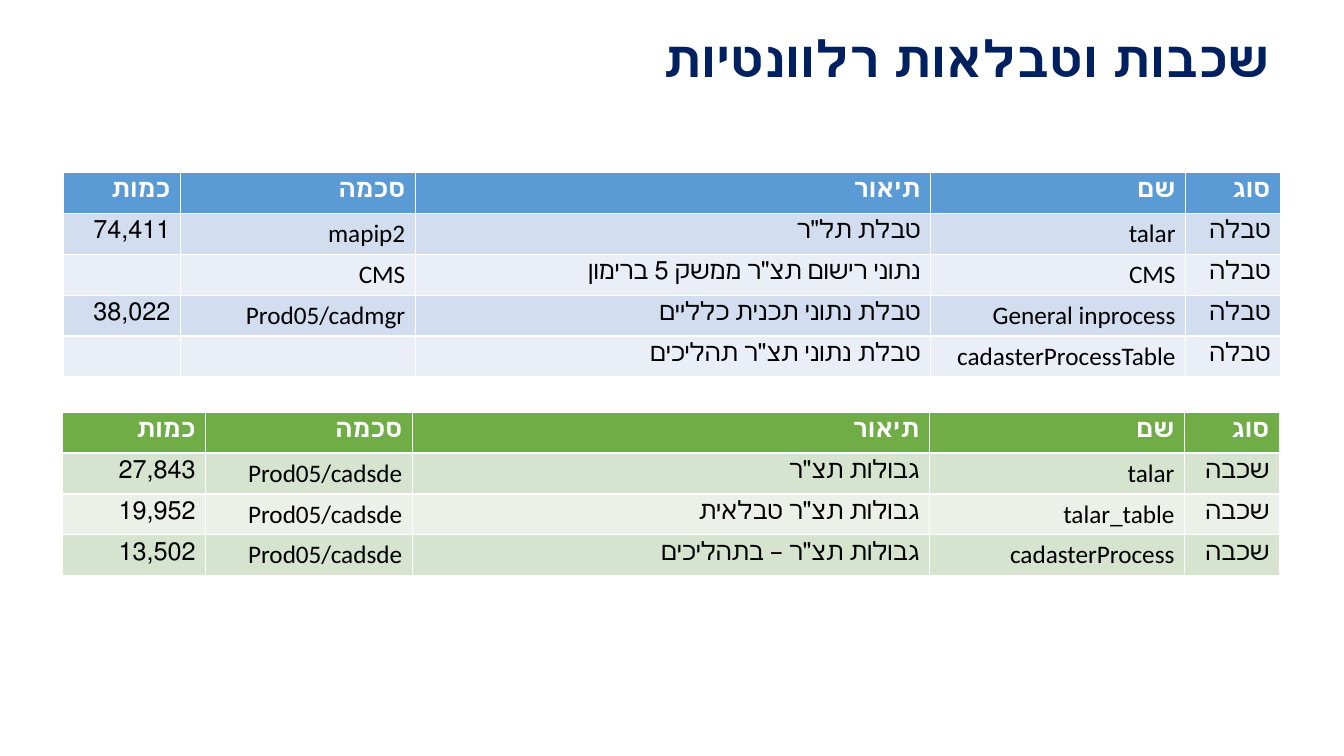
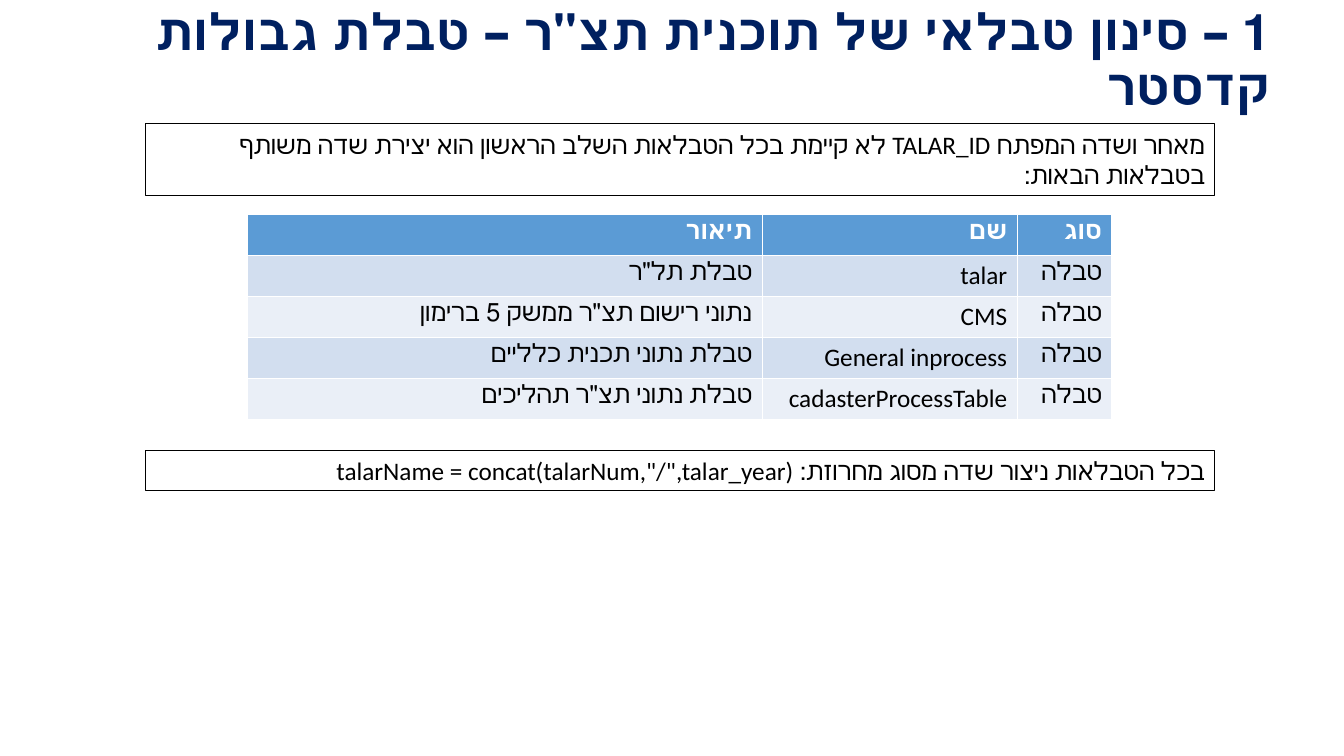
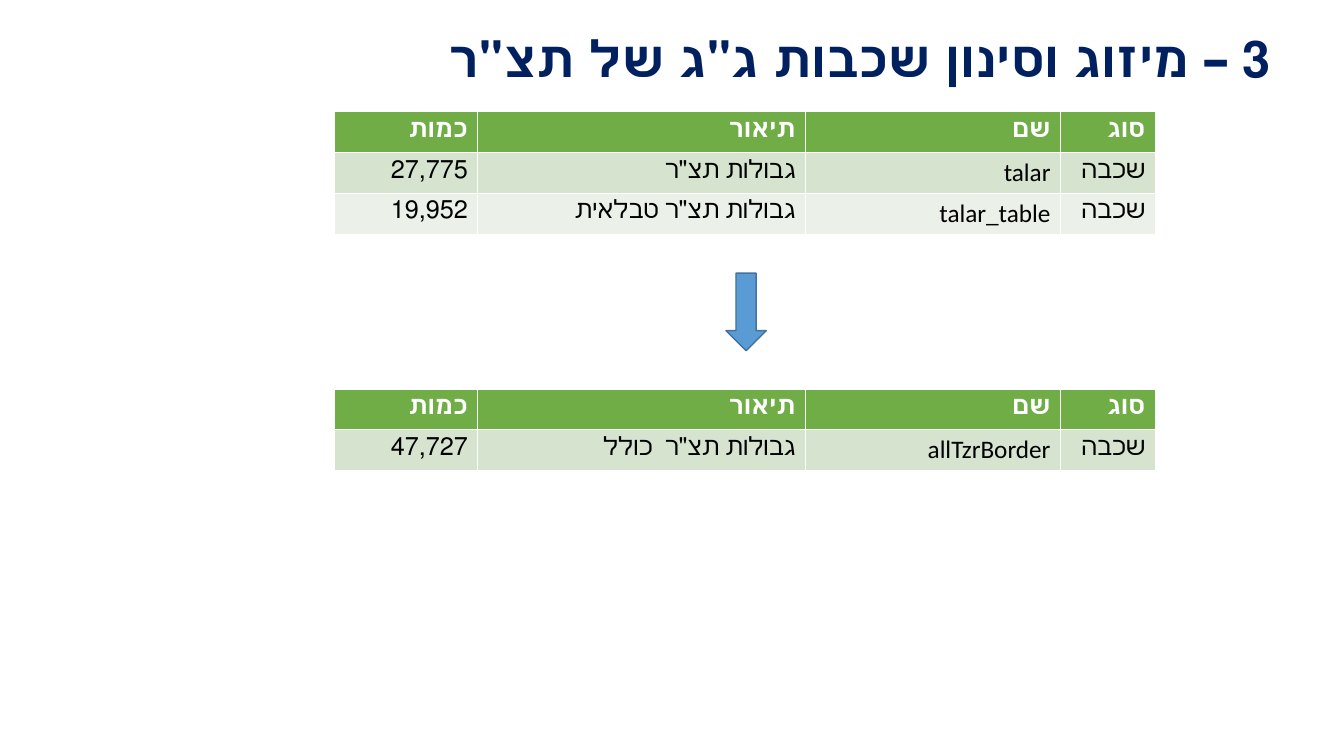
"""Builds three right-to-left slides about cadastre layers and tables."""
from pptx import Presentation
from pptx.dml.color import RGBColor
from pptx.enum.shapes import MSO_SHAPE
from pptx.enum.text import MSO_ANCHOR, MSO_AUTO_SIZE, PP_ALIGN
from pptx.util import Inches, Pt

RIGHT = PP_ALIGN.RIGHT
MIDDLE = MSO_ANCHOR.MIDDLE
NO_FIT = MSO_AUTO_SIZE.NONE
GROW = MSO_AUTO_SIZE.SHAPE_TO_FIT_TEXT
DOWN_ARROW = MSO_SHAPE.DOWN_ARROW

FONT = "Calibri"
NAVY = RGBColor(0x00, 0x20, 0x60)
BLACK = RGBColor(0x00, 0x00, 0x00)
WHITE = RGBColor(0xFF, 0xFF, 0xFF)
BLUE = RGBColor(0x5B, 0x9B, 0xD5)
BLUE_BAND = RGBColor(0xD2, 0xDE, 0xEF)
BLUE_PALE = RGBColor(0xEA, 0xEF, 0xF7)
BLUE_DARK = RGBColor(0x43, 0x73, 0x9E)
GREEN = RGBColor(0x70, 0xAD, 0x47)
GREEN_BAND = RGBColor(0xD5, 0xE3, 0xCF)
GREEN_PALE = RGBColor(0xEB, 0xF1, 0xE9)
BLUES = (BLUE, BLUE_BAND, BLUE_PALE)
GREENS = (GREEN, GREEN_BAND, GREEN_PALE)

HEADER = ["כמות", "סכמה", "תיאור", "שם", "סוג"]
SHORT_HEADER = ["כמות", "תיאור", "שם", "סוג"]
SHORT_WIDTHS = [1.42, 3.25, 2.53, 0.94]
TABLE_WIDTHS = [1.16, 2.33, 5.11, 2.53, 0.94]
TABLE_ROWS = [
    HEADER,
    ["74,411", "mapip2", 'טבלת תל"ר', "talar", "טבלה"],
    ["", "CMS", 'נתוני רישום תצ"ר ממשק 5 ברימון', "CMS", "טבלה"],
    ["38,022", "Prod05/cadmgr", "טבלת נתוני תכנית כלליים", "General inprocess", "טבלה"],
    ["", "", 'טבלת נתוני תצ"ר תהליכים', "cadasterProcessTable", "טבלה"],
]
LAYER_ROWS = [
    HEADER,
    ["27,843", "Prod05/cadsde", 'גבולות תצ"ר', "talar", "שכבה"],
    ["19,952", "Prod05/cadsde", 'גבולות תצ"ר טבלאית', "talar_table", "שכבה"],
    ["13,502", "Prod05/cadsde", 'גבולות תצ"ר – בתהליכים', "cadasterProcess", "שכבה"],
]
SOURCE_ROWS = [
    SHORT_HEADER,
    ["27,775", 'גבולות תצ"ר', "talar", "שכבה"],
    ["19,952", 'גבולות תצ"ר טבלאית', "talar_table", "שכבה"],
]
MERGED_ROWS = [
    SHORT_HEADER,
    ["47,727", 'גבולות תצ"ר  כולל', "allTzrBorder", "שכבה"],
]
TITLES = [
    "שכבות וטבלאות רלוונטיות",
    '1 – סינון טבלאי של תוכנית תצ"ר – טבלת גבולות קדסטר',
    '3 – מיזוג וסינון שכבות ג"ג של תצ"ר',
]
NOTES = [
    (1.23, 0.71, "מאחר ושדה המפתח TALAR_ID לא קיימת בכל הטבלאות השלב הראשון הוא "
                 "יצירת שדה משותף בטבלאות הבאות:"),
    (4.47, 0.4, "בכל הטבלאות ניצור שדה מסוג מחרוזת: "
                'talarName = concat(talarNum,"/",talar_year)'),
]


def write(text_frame, text, size, color, bold=False):
    """Put one right-to-left paragraph in a text frame."""
    text_frame.text = text
    paragraph = text_frame.paragraphs[0]
    paragraph.alignment = RIGHT
    paragraph._p.get_or_add_pPr().set("rtl", "1")
    font = paragraph.font
    font.name, font.size, font.bold = FONT, Pt(size), bold
    font.color.rgb = color
    return paragraph


def add_grid(slide, left, top, height, widths, rows, colors):
    """Add a table with a strong header and two alternating row colours."""
    frame = slide.shapes.add_table(len(rows), len(widths), Inches(left), Inches(top),
                                   Inches(sum(widths)), Inches(height))
    table = frame.table
    for column, width in zip(table.columns, widths):
        column.width = Inches(width)
    header_fill, *bands = colors
    for row_index, row in enumerate(rows):
        is_header = row_index == 0
        for column_index, text in enumerate(row):
            cell = table.cell(row_index, column_index)
            cell.fill.solid()
            cell.fill.fore_color.rgb = header_fill if is_header else bands[(row_index - 1) % 2]
            write(cell.text_frame, text, 18, WHITE if is_header else BLACK, is_header)


presentation = Presentation()
presentation.slide_width = Inches(13.33)
presentation.slide_height = Inches(7.5)

slides = []
for title_text in TITLES:
    slide = presentation.slides.add_slide(presentation.slide_layouts[5])
    title = slide.shapes.title
    title.left, title.top = Inches(0.62), Inches(0.27)
    title.width, title.height = Inches(12.08), Inches(0.68)
    title.text_frame.auto_size = NO_FIT
    title.text_frame.vertical_anchor = MIDDLE
    write(title.text_frame, title_text, 36, NAVY, True).line_spacing = 0.9
    slides.append(slide)
overview, filtering, merging = slides

add_grid(overview, 0.63, 1.71, 2.03, TABLE_WIDTHS, TABLE_ROWS, BLUES)
add_grid(overview, 0.62, 4.09, 1.62, [1.42, 2.05, 5.13, 2.53, 0.94], LAYER_ROWS, GREENS)

for top, height, text in NOTES:
    note = filtering.shapes.add_textbox(Inches(1.44), Inches(top), Inches(10.61), Inches(height))
    note.line.color.rgb = BLACK
    note.line.width = Pt(0.75)
    note.text_frame.word_wrap = True
    note.text_frame.auto_size = GROW
    write(note.text_frame, text, 18, BLACK)
add_grid(filtering, 2.45, 2.13, 2.03, TABLE_WIDTHS[2:], [row[2:] for row in TABLE_ROWS], BLUES)

add_grid(merging, 3.32, 1.11, 1.22, SHORT_WIDTHS, SOURCE_ROWS, GREENS)
add_grid(merging, 3.32, 3.86, 0.81, SHORT_WIDTHS, MERGED_ROWS, GREENS)
arrow = merging.shapes.add_shape(DOWN_ARROW, Inches(7.2), Inches(2.71), Inches(0.4), Inches(0.77))
arrow.shadow.inherit = False
arrow.fill.solid()
arrow.fill.fore_color.rgb = BLUE
arrow.line.color.rgb = BLUE_DARK
arrow.line.width = Pt(1)

presentation.save("out.pptx")
